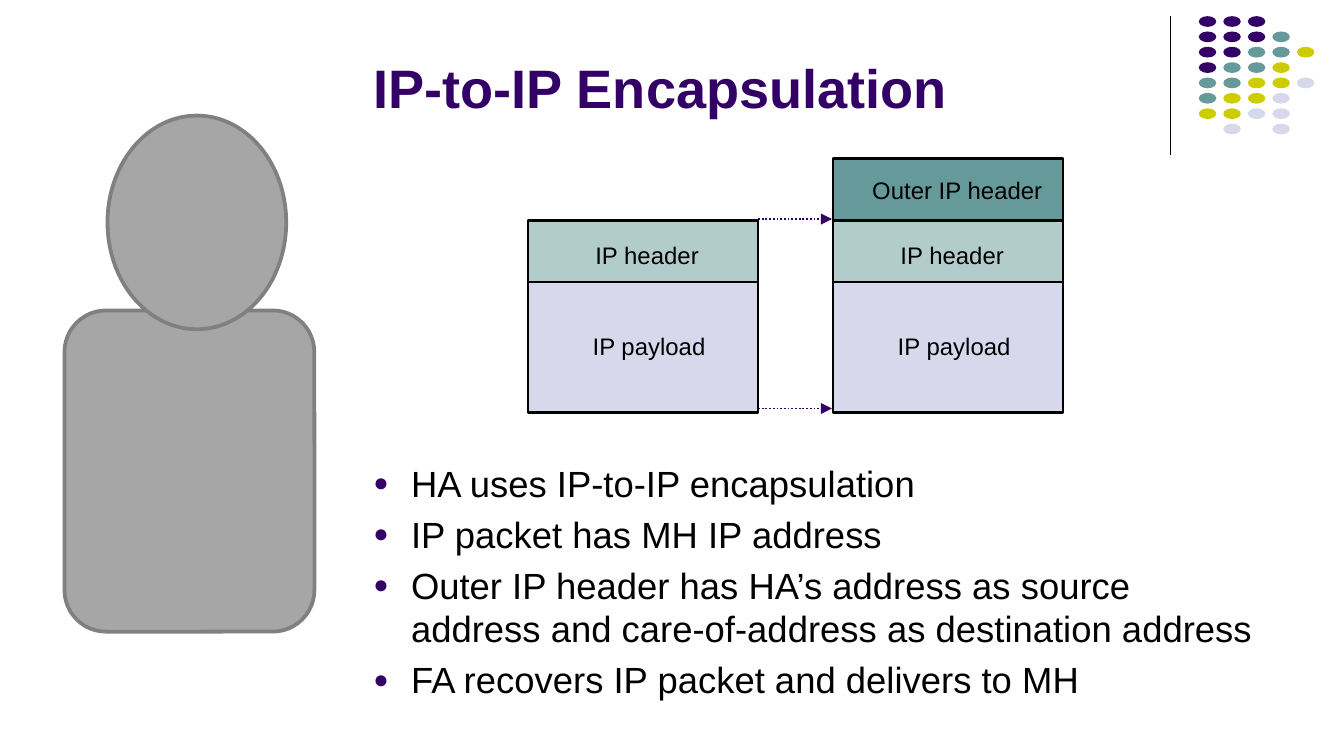
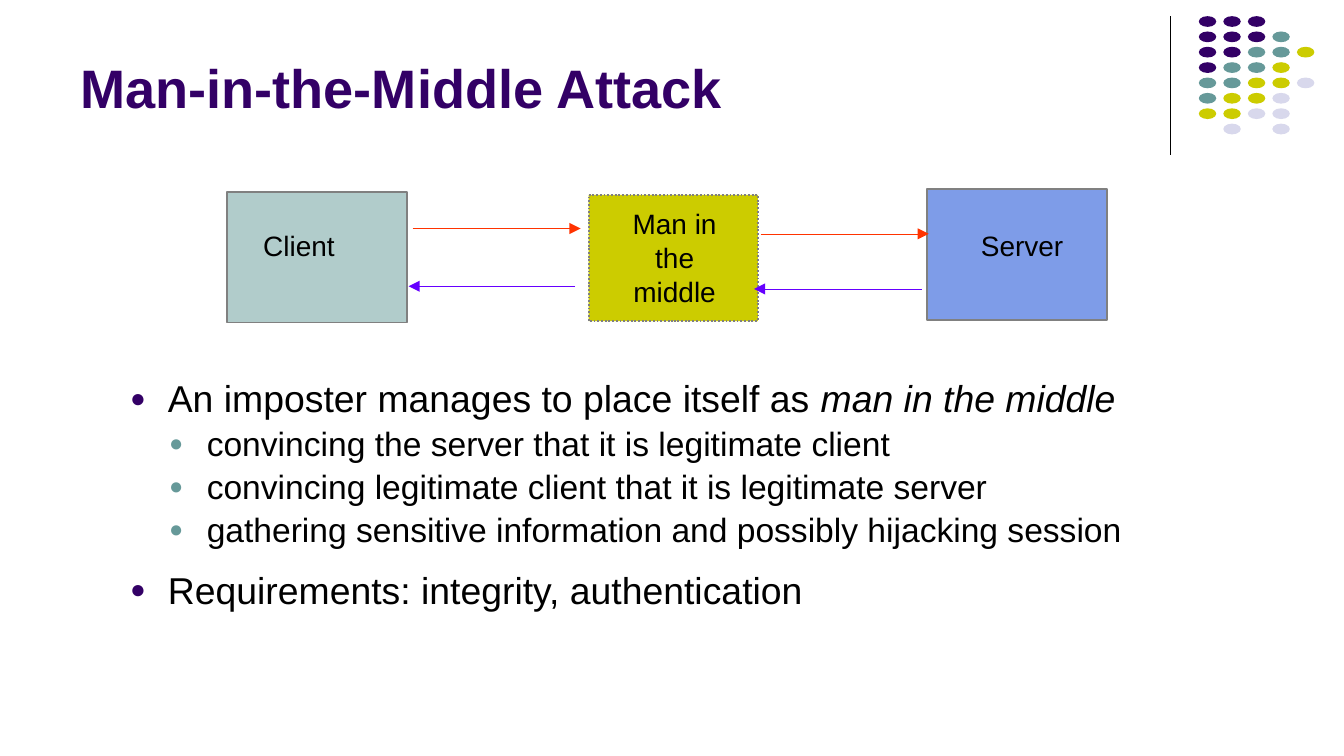
import pptx
import pptx.util
import pptx.dml.color
import pptx.enum.dml
import pptx.enum.shapes
import pptx.enum.text
import pptx.oxml
import pptx.oxml.ns

Inches, Pt = pptx.util.Inches, pptx.util.Pt
RGBColor = pptx.dml.color.RGBColor
KIND = pptx.enum.shapes.MSO_SHAPE
DOT = pptx.enum.dml.MSO_LINE.ROUND_DOT
ALIGN = pptx.enum.text.PP_ALIGN
ANCHOR = pptx.enum.text.MSO_ANCHOR
qn = pptx.oxml.ns.qn

FONT = "Arial"
BLACK = RGBColor(0, 0, 0)
PLUM = RGBColor(0x33, 0x00, 0x66)
TEAL = RGBColor(0x66, 0x99, 0x99)
LIME = RGBColor(0xCC, 0xCC, 0x00)
LILAC = RGBColor(0xD8, 0xD8, 0xEC)
MINT = RGBColor(0xB1, 0xCC, 0xCB)
BLUE = RGBColor(0x7E, 0x9C, 0xE8)
RED = RGBColor(0xFF, 0x33, 0x00)
VIOLET = RGBColor(0x66, 0x00, 0xFF)
GREY = RGBColor(0x80, 0x80, 0x80)
SILVER = RGBColor(0xA6, 0xA6, 0xA6)

# Corner dots: one letter for each colour
DOTS = ["PPP", "PPPT", "PPTTY", "PTTY", "TTYYL", "TYYL", "YYLL", " L L"]
HUES = {"P": PLUM, "T": TEAL, "Y": LIME, "L": LILAC}


def apply(item, form):
    for key, val in form.items():
        setattr(item, key, val)


def add_xml(parent, tag, **attrs):
    node = pptx.oxml.parse_xml(
        '<a:%s xmlns:a="http://schemas.openxmlformats.org/drawingml/2006/main"/>' % tag)
    for key, val in attrs.items():
        node.set(key, str(val))
    parent.append(node)
    return node


class Deck:
    def __init__(self):
        self.prs = pptx.Presentation()
        # Widescreen, 16 to 9
        apply(self.prs, {"slide_width": Inches(10), "slide_height": Inches(10) * 9 // 16})

    def page(self, title, left, width):
        """Start a slide with the shared corner and title."""
        self.slide = self.prs.slides.add_slide(self.prs.slide_layouts[6])
        self.line((8.71, 0.12), (8.71, 1.15), BLACK, 0.75)
        for row, marks in enumerate(DOTS):
            for col, mark in enumerate(marks):
                if mark in HUES:
                    self.shape((8.92 + col * 0.73 / 4, 0.12 + row * 0.8 / 7, 0.13, 0.08),
                               HUES[mark], kind=KIND.OVAL)
        frame = self.frame((left, 0.1, width, 0.84), vertical_anchor=ANCHOR.BOTTOM)
        self.run(frame.paragraphs[0], title, 29, color=PLUM, bold=True)

    def shape(self, box, fill, edge=None, width=1, kind=KIND.RECTANGLE, dash=None):
        item = self.slide.shapes.add_shape(kind, *map(Inches, box))
        item.shadow.inherit = False
        item.fill.solid()
        item.fill.fore_color.rgb = fill
        if edge is None:
            item.line.fill.background()
        else:
            item.line.color.rgb = edge
            apply(item.line, {"width": Pt(width), "dash_style": dash})

    def line(self, start, end, color, width, dash=None, arrow=False):
        item = self.slide.shapes.add_connector(
            pptx.enum.shapes.MSO_CONNECTOR.STRAIGHT, *map(Inches, start + end))
        item.line.color.rgb = color
        apply(item.line, {"width": Pt(width), "dash_style": dash})
        props = item._element.spPr
        if arrow:
            add_xml(props.find(qn("a:ln")), "tailEnd", type="triangle")
        add_xml(props, "effectLst")

    def frame(self, box, **form):
        frame = self.slide.shapes.add_textbox(*map(Inches, box)).text_frame
        apply(frame, {"word_wrap": True, **form})
        return frame

    def run(self, para, text, size, color=BLACK, **form):
        run = para.add_run()
        run.text = text
        apply(run.font, {"name": FONT, "size": Pt(size), **form})
        run.font.color.rgb = color

    def label(self, box, text, size, align=ALIGN.LEFT, **form):
        para = self.frame(box, **form).paragraphs[0]
        para.alignment = align
        self.run(para, text, size)

    def bullets(self, box, items, spacing=1.0):
        """Each item: level, size, space before, then (text, italic) runs."""
        frame = self.frame(box)
        for num, (level, size, gap, runs) in enumerate(items):
            para = frame.add_paragraph() if num else frame.paragraphs[0]
            apply(para, {"level": level, "line_spacing": spacing, "space_before": Pt(gap)})
            props = para._p.get_or_add_pPr()
            props.set("marL", str(Inches((0.28, 0.57)[level])))
            props.set("indent", str(Inches(-0.28)))
            tint = add_xml(props, "buClr")
            add_xml(tint, "srgbClr", val=(PLUM, TEAL)[level])
            add_xml(props, "buSzPct", val=70000)
            add_xml(props, "buFont", typeface=FONT)
            add_xml(props, "buChar", char="\u25cf")
            for text, slant in runs:
                self.run(para, text, size, italic=slant)


deck = Deck()

# Slide 1: encapsulation
deck.page("IP-to-IP Encapsulation", 2.68, 6.07)
deck.bullets((2.68, 3.38, 6.75, 2.02), [(0, 19.5, 3.9, [(text, False)]) for text in (
    "HA uses IP-to-IP encapsulation",
    "IP packet has MH IP address",
    "Outer IP header has HA\u2019s address as source address "
    "and care-of-address as destination address",
    "FA recovers IP packet and delivers to MH")])

# Packet stacks: text, top, height, fill, label left, label top, label width
OUTER = ("Outer IP header", 1.18, 0.46, TEAL, 0.29, 1.31, 1.27)
INNER = [("IP header", 1.64, 0.46, MINT, 0.5, 1.79, 0.77),
         ("IP payload", 2.1, 0.97, LILAC, 0.48, 2.47, 0.84)]
BARE = dict.fromkeys(("margin_left", "margin_right", "margin_top", "margin_bottom"), 0)
for left, parts in ((3.93, INNER), (6.2, [OUTER] + INNER)):
    for text, top, high, fill, inset, text_top, wide in parts:
        deck.shape((left, top, 1.71, high), fill, BLACK, 1.25)
        deck.label((left + inset, text_top, wide, 0.21), text, 12.8,
                   word_wrap=False, **BARE)
for y in (1.63, 3.04):
    deck.line((5.64, y), (6.19, y), PLUM, 1, DOT, True)

# Figure at the left
deck.shape((0.48, 2.31, 1.86, 2.39), SILVER, GREY, 2, KIND.ROUNDED_RECTANGLE)
deck.shape((0.8, 0.86, 1.33, 1.59), SILVER, GREY, 2, KIND.OVAL)

# Slide 2: attack
deck.page("Man-in-the-Middle Attack", 0.5, 8.25)
deck.shape((1.69, 1.43, 1.34, 0.97), MINT, GREY)
deck.label((1.86, 1.65, 1.01, 0.35), "Client", 15)
deck.shape((6.9, 1.41, 1.34, 0.97), BLUE, GREY)
deck.label((7.2, 1.65, 1.01, 0.35), "Server", 15)
deck.shape((4.38, 1.45, 1.26, 0.94), LIME, GREY, dash=DOT)
deck.label((4.57, 1.49, 0.9, 0.86), "Man in the middle", 15, ALIGN.CENTER)

# Messages out and back
for start, end, y, color in ((3.07, 4.32, 1.7, RED), (4.28, 3.04, 2.13, VIOLET),
                             (5.66, 6.91, 1.74, RED), (6.86, 5.61, 2.15, VIOLET)):
    deck.line((start, y), (end, y), color, 0.25, arrow=True)

deck.bullets((0.87, 2.78, 8.11, 1.84), [
    (0, 20, 4, [("An imposter manages to place itself as ", False),
                ("man in the middle", True)]),
    *((1, 18, 3.6, [(text, False)]) for text in (
        "convincing the server that it is legitimate client",
        "convincing legitimate client that it is legitimate server",
        "gathering sensitive information and possibly hijacking session")),
    (0, 20, 12, [("Requirements: integrity, authentication", False)])], 0.9)

deck.prs.save("out.pptx")
